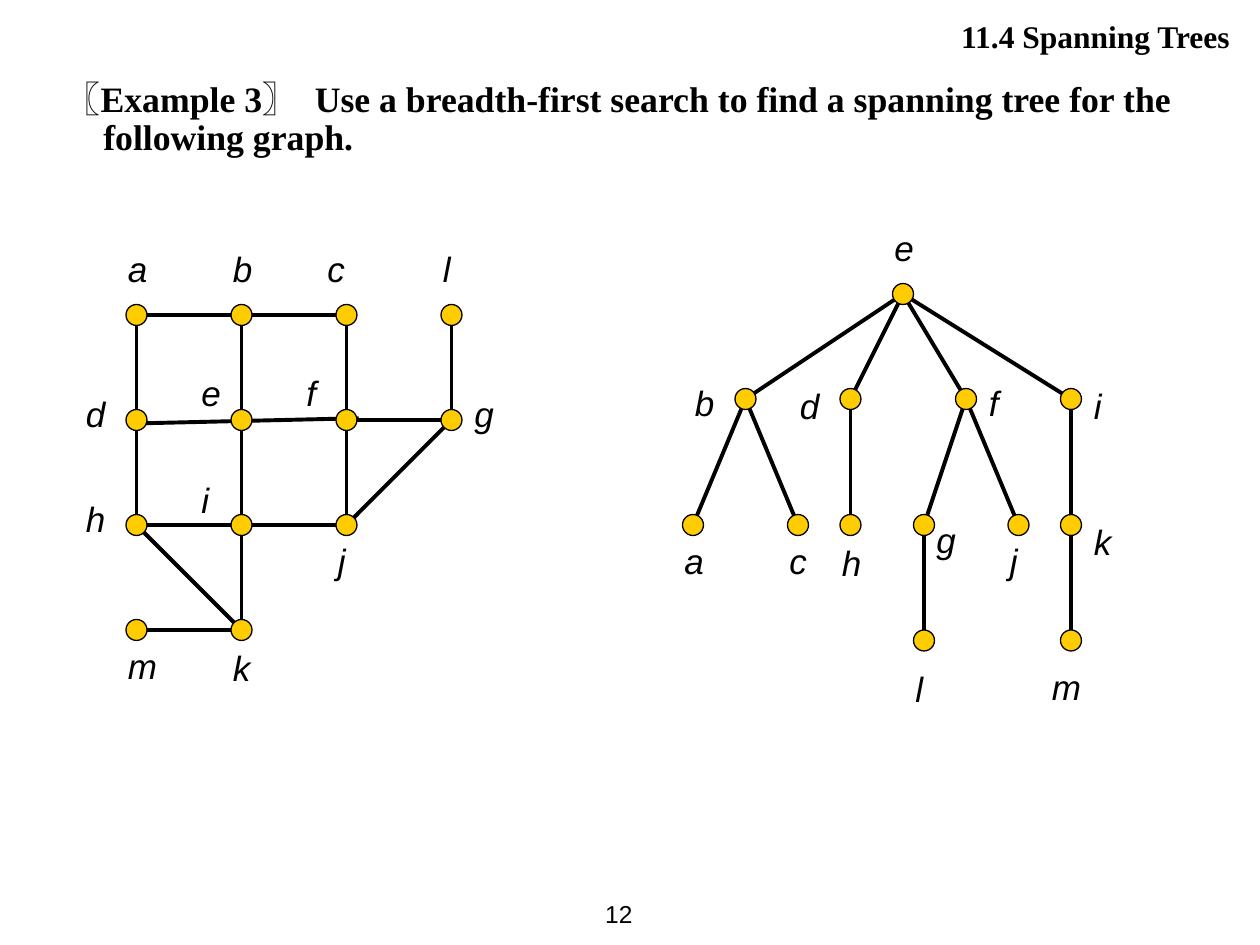
from lxml import etree
from pptx import Presentation
from pptx import util as u
from pptx.dml.color import RGBColor
from pptx.enum import shapes, text
from pptx.oxml.ns import qn

SANS, SERIF = "Arial", "Times New Roman"

# node: (centre x, centre y, label left, label top)
GRAPH_NODES = {
    "a": (78, 180, 66, 138), "b": (138, 180, 126, 138),
    "c": (198, 180, 180, 138), "l": (258, 180, 246, 138),
    "d": (78, 240, 42, 221), "e": (138, 240, 108, 209),
    "f": (198, 240, 168, 209), "g": (258, 240, 264, 221),
    "h": (78, 300, 42, 281), "i": (138, 300, 108, 270),
    "j": (198, 300, 186, 304.5),
    "m": (78, 360, 66, 365), "k": (138, 360, 126, 366),
}
GRAPH_EDGES = "ab bc fg ah hj bi cj jg lg ik mk hk".split()
ROW_D_TO_F = (76.5, 242, 205, 239)  # slightly tilted line through d, e and f

TREE_NODES = {
    "e": (516, 168, 504, 126),
    "b": (426, 228, 390, 214.5), "d": (486, 228, 450, 216),
    "f": (552, 228, 558, 214.5), "i": (612, 228, 618, 216),
    "a": (396, 300, 384, 304.5), "c": (456, 300, 444, 304.5),
    "h": (486, 300, 474, 306), "g": (528, 300, 528, 293),
    "j": (582, 300, 570, 304.5), "k": (612, 300, 618, 294),
    "l": (528, 366, 516, 378), "m": (612, 366, 594, 376.5),
}
TREE_EDGES = "eb ed ef ei ba bc dh fg fj ik km gl".split()


def color(hex_string):
    return RGBColor.from_string(hex_string)


def add_text(p, content, size=20, font=SANS, bold=False, italic=False,
             ink="000000", spacing=0):
    """Append a run; spacing is extra character spacing in points."""
    r = p.add_run()
    r.text = content
    r.font.size, r.font.name = u.Pt(size), font
    r.font.bold, r.font.italic = bold, italic
    r.font.color.rgb = color(ink)
    if spacing:
        r._r.get_or_add_rPr().set("spc", str(int(spacing * 100)))
    return r


class Canvas:
    ink, node_fill = "000000", "FFCC00"
    edge_width, outline_width, node_size = 2.25, 0.75, 12

    def __init__(self, slide):
        self.s = slide

    def title(self, content, left, top, width, height):
        sp = self.s.shapes.title
        sp.left, sp.top, sp.width, sp.height = map(u.Pt, (left, top, width, height))
        tf = sp.text_frame
        tf.vertical_anchor = text.MSO_ANCHOR.TOP
        tf.auto_size = text.MSO_AUTO_SIZE.NONE
        p = tf.paragraphs[0]
        p.alignment = text.PP_ALIGN.RIGHT
        add_text(p, content, size=18, font=SERIF, bold=True)

    def box(self, left, top, width, height, parent=None, wrap=True,
            anchor=text.MSO_ANCHOR.TOP, align=text.PP_ALIGN.LEFT):
        """Add an empty text box and return its first paragraph."""
        sp = (parent or self.s).shapes.add_textbox(*map(u.Pt, (left, top, width, height)))
        tf = sp.text_frame
        tf.word_wrap, tf.vertical_anchor = wrap, anchor
        p = tf.paragraphs[0]
        p.alignment = align
        return p

    def edge(self, parent, x1, y1, x2, y2):
        line = parent.shapes.add_connector(
            shapes.MSO_CONNECTOR.STRAIGHT, *map(u.Pt, (x1, y1, x2, y2)))
        line.line.color.rgb = color(self.ink)
        line.line.width = u.Pt(self.edge_width)
        etree.SubElement(line._element.spPr, qn("a:effectLst"))

    def node(self, parent, x, y):
        d = self.node_size
        sp = parent.shapes.add_shape(
            shapes.MSO_SHAPE.OVAL, *map(u.Pt, (x - d / 2, y - d / 2, d, d)))
        sp.shadow.inherit = False
        sp.fill.solid()
        sp.fill.fore_color.rgb = color(self.node_fill)
        sp.line.color.rgb = color(self.ink)
        sp.line.width = u.Pt(self.outline_width)

    def network(self, nodes, edges, extra_lines=()):
        """Draw edges, labels and nodes, in that order, as one group."""
        group = self.s.shapes.add_group_shape()
        for start, end in edges:
            self.edge(group, *nodes[start][:2], *nodes[end][:2])
        for ends in extra_lines:
            self.edge(group, *ends)
        for name, (x, y, left, top) in nodes.items():
            add_text(self.box(left, top, 36, 31.5, parent=group), name, italic=True)
        for x, y, *_ in nodes.values():
            self.node(group, x, y)


def main():
    prs = Presentation()
    prs.slide_width, prs.slide_height = u.Pt(720), u.Pt(540)
    canvas = Canvas(prs.slides.add_slide(prs.slide_layouts[5]))

    canvas.title("11.4 Spanning Trees", 286.5, 6, 423.5, 29)

    p = canvas.box(25, 43, 659, 57)
    pPr = p._p.get_or_add_pPr()
    pPr.set("marL", str(u.Pt(27)))
    pPr.set("indent", str(u.Pt(-22)))
    p.line_spacing = 0.9
    question = dict(size=20.4, font=SERIF, bold=True)
    add_text(p, "〖Example 3〗", **question)
    add_text(p, " ", spacing=5, **question)
    add_text(p, "Use a breadth-first search to find a spanning tree for "
                "the following graph.", **question)

    canvas.network(GRAPH_NODES, GRAPH_EDGES, [ROW_D_TO_F])
    canvas.network(TREE_NODES, TREE_EDGES)

    page = canvas.box(320.5, 504, 48, 36, wrap=False,
                      anchor=text.MSO_ANCHOR.MIDDLE, align=text.PP_ALIGN.RIGHT)
    add_text(page, "12", size=14)

    prs.save("out.pptx")


if __name__ == "__main__":
    main()
